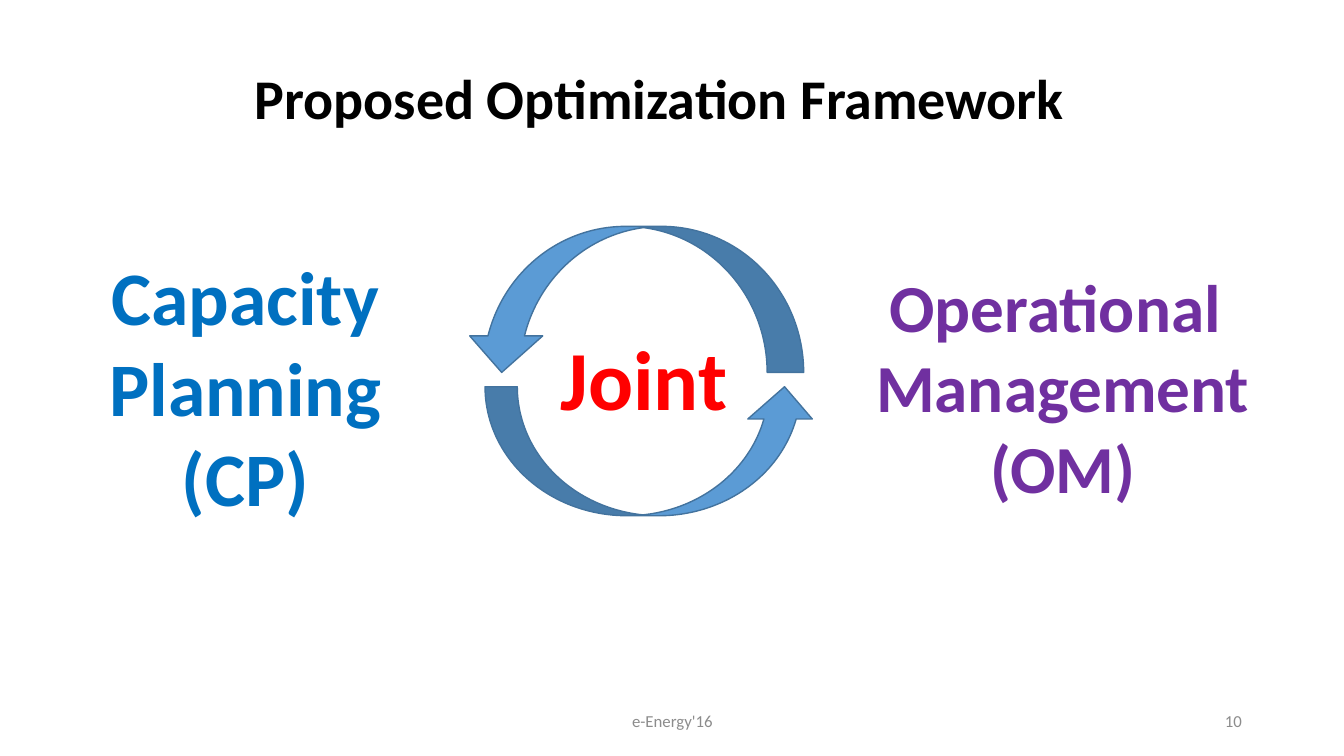
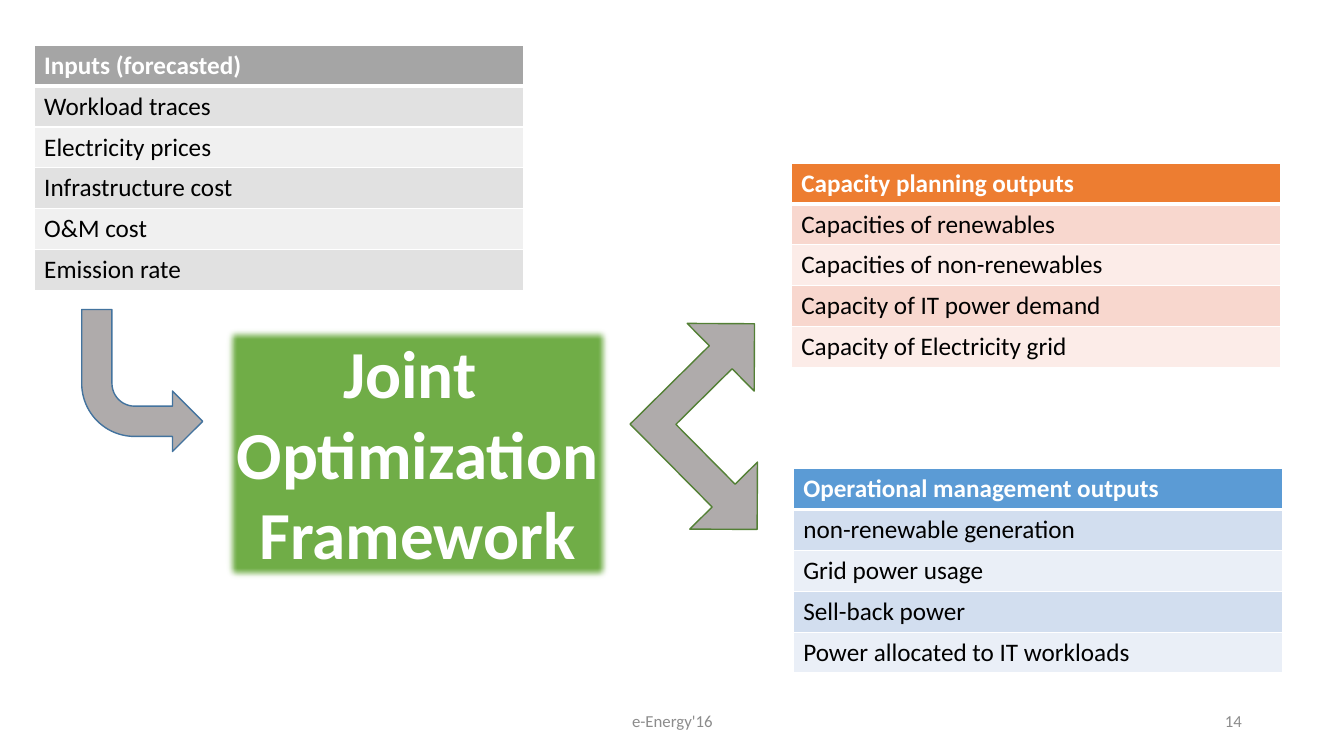
from pptx import Presentation
from pptx.dml.color import RGBColor
from pptx.enum.shapes import MSO_SHAPE
from pptx.enum.text import MSO_ANCHOR, PP_ALIGN
from pptx.oxml.ns import qn
from pptx.oxml.xmlchemy import OxmlElement
from pptx.util import Cm, Pt

LEFT, CENTER, RIGHT = PP_ALIGN.LEFT, PP_ALIGN.CENTER, PP_ALIGN.RIGHT
TOP, MIDDLE = MSO_ANCHOR.TOP, MSO_ANCHOR.MIDDLE
CURVED_ARROW = MSO_SHAPE.CURVED_RIGHT_ARROW
LEFT_UP_ARROW = MSO_SHAPE.LEFT_UP_ARROW
BENT_ARROW = MSO_SHAPE.BENT_ARROW
RECTANGLE = MSO_SHAPE.RECTANGLE


class Theme:
    font = "Calibri"
    # Colours
    white, black, footer = "FFFFFF", "000000", "8C8C8C"
    blue, blue_line, blue_bands = "5B9BD5", "43739E", ("D2DEEF", "EAEFF7")
    green, green_line = "70AD47", "538035"
    gray, gray_bands, arrow_gray = "A5A5A5", ("E1E1E1", "F0F0F0"), "AFABAB"
    orange, orange_bands = "ED7D31", ("F8D7CE", "FCECE8")
    planning, operations, joint = "0070C0", "7030A0", "FF0000"
    # Type sizes
    title_size, joint_size, planning_size, large_size = 40, 60, 54, 48
    table_size, footer_size = 18, 12


def write(tf, lines, size, color, bold=True, align=LEFT, anchor=TOP):
    tf.vertical_anchor = anchor
    for i, line in enumerate(lines):
        p = tf.paragraphs[0] if i == 0 else tf.add_paragraph()
        p.alignment = align
        r = p.add_run()
        r.text = line
        r.font.name = Theme.font
        r.font.size = Pt(size)
        r.font.bold = bold
        r.font.color.rgb = RGBColor.from_string(color)


def add_preset(s, kind, box, fill, line, rotation=0, flips=()):
    sp = s.shapes.add_shape(kind, *map(Cm, box))
    sp.shadow.inherit = False
    sp.fill.solid()
    sp.fill.fore_color.rgb = RGBColor.from_string(fill)
    sp.line.color.rgb = RGBColor.from_string(line)
    sp.line.width = Pt(1)
    sp.rotation = rotation
    for flip in flips:
        sp._element.spPr.find(qn("a:xfrm")).set(flip, "1")
    return sp


prs = Presentation()
prs.slide_width, prs.slide_height = Cm(33.87), Cm(19.05)
blank = prs.slide_layouts[6]
cycle, flow = prs.slides.add_slide(blank), prs.slides.add_slide(blank)

# Footers
for s, number in ((cycle, "10"), (flow, "14")):
    for left, width, text, align in ((11.23, 11.43, "e-Energy'16", CENTER),
                                     (23.93, 7.62, number, RIGHT)):
        sp = s.shapes.add_textbox(Cm(left), Cm(17.65), Cm(width), Cm(1.02))
        sp.text_frame.word_wrap = True
        write(sp.text_frame, [text], Theme.footer_size, Theme.footer,
              bold=False, align=align, anchor=MIDDLE)

# Slide 1: arrows forming the cycle
for box, flips in (((14.78, 7.19, 3.25, 8.36), ()),
                   ((14.15, 3.28, 3.68, 8.53), ("flipH", "flipV"))):
    add_preset(cycle, CURVED_ARROW, box, Theme.blue, Theme.blue_line, 270, flips)

# Slide 1: title and labels
labels = [
    ((6.17, 1.47, 21.39, 1.96), ["Proposed Optimization Framework"],
     Theme.title_size, Theme.black, LEFT),
    ((13.87, 8.1, 5.05, 2.82), ["Joint"],
     Theme.joint_size, Theme.joint, LEFT),
    ((2.21, 6.17, 7.95, 7.19), ["Capacity Planning", "(CP)"],
     Theme.planning_size, Theme.planning, CENTER),
    ((21.59, 6.55, 10.39, 6.4), ["Operational ", "Management", "(OM)"],
     Theme.large_size, Theme.operations, CENTER),
]
for box, lines, size, color, align in labels:
    sp = cycle.shapes.add_textbox(*map(Cm, box))
    sp.text_frame.word_wrap = True
    write(sp.text_frame, lines, size, color, align=align)

# Slide 2: input and output tables, header row first
tables = [
    (0.86, 1.14, Theme.gray, Theme.gray_bands,
     ["Inputs (forecasted)", "Workload traces", "Electricity prices",
      "Infrastructure cost", "O&M cost", "Emission rate"]),
    (19.94, 4.11, Theme.orange, Theme.orange_bands,
     ["Capacity planning outputs", "Capacities of renewables",
      "Capacities of non-renewables", "Capacity of IT power demand",
      "Capacity of Electricity grid"]),
    (19.99, 11.81, Theme.blue, Theme.blue_bands,
     ["Operational management outputs", "non-renewable generation",
      "Grid power usage", "Sell-back power",
      "Power allocated to IT workloads"]),
]
row_height = 1.03
for left, top, header_fill, bands, rows in tables:
    table = flow.shapes.add_table(len(rows), 1, Cm(left), Cm(top), Cm(12.34),
                                  Cm(row_height * len(rows))).table
    for i, text in enumerate(rows):
        is_header = i == 0
        table.rows[i].height = Cm(row_height)
        cell = table.cell(i, 0)
        write(cell.text_frame, [text], Theme.table_size,
              Theme.white if is_header else Theme.black, bold=is_header)
        # White borders, thicker under the header
        for side in ("L", "R", "T", "B"):
            thick = (i, side) in ((0, "B"), (1, "T"))
            ln = OxmlElement(f"a:ln{side}")
            ln.set("w", str(Pt(3 if thick else 1)))
            fill = OxmlElement("a:solidFill")
            clr = OxmlElement("a:srgbClr")
            clr.set("val", Theme.white)
            fill.append(clr)
            ln.append(fill)
            cell._tc.get_or_add_tcPr().append(ln)
        cell.fill.solid()
        cell.fill.fore_color.rgb = RGBColor.from_string(
            header_fill if is_header else bands[(i - 1) % 2])

# Slide 2: framework box with soft edges
sp = add_preset(flow, RECTANGLE, (5.66, 8.23, 9.73, 6.4),
                Theme.green, Theme.green_line)
sp.text_frame.word_wrap = False
write(sp.text_frame, ["Joint ", "Optimization", "Framework"],
      Theme.large_size, Theme.white, align=CENTER, anchor=TOP)
soft_edge = OxmlElement("a:softEdge")
soft_edge.set("rad", str(Pt(5)))
sp._element.spPr.find(qn("a:effectLst")).append(soft_edge)

# Slide 2: arrows into and out of the framework
sp = add_preset(flow, LEFT_UP_ARROW, (15.8, 8.28, 4.8, 4.93), Theme.arrow_gray,
                Theme.green_line, 315.3, ("flipH", "flipV"))
for i, value in enumerate((0.17, 0.25, 0.25)):
    sp.adjustments[i] = value
add_preset(flow, BENT_ARROW, (2.06, 7.8, 3.05, 3.58), Theme.arrow_gray,
           Theme.blue_line, flips=("flipV",))

prs.save("out.pptx")
